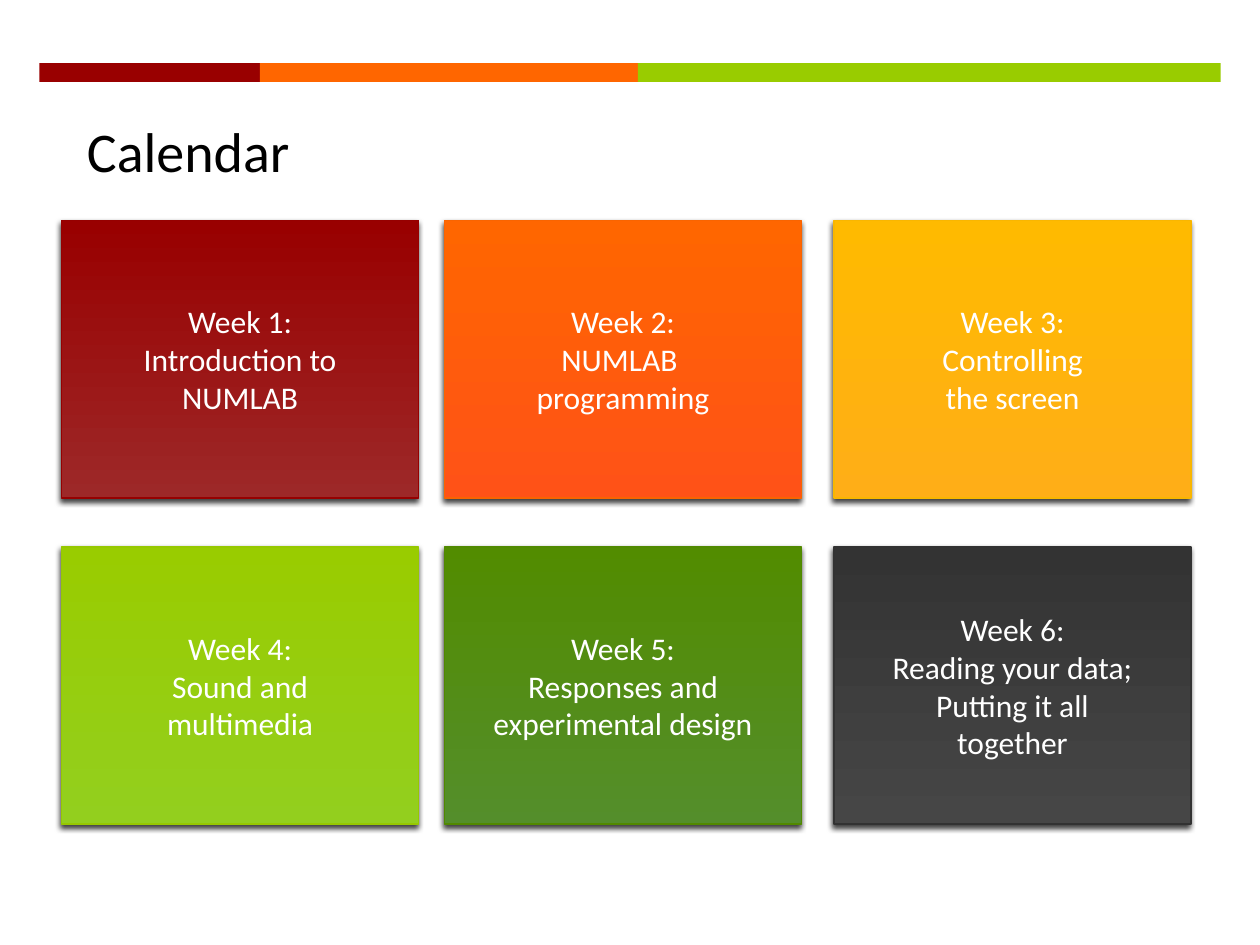
from lxml import etree
from pptx import Presentation
from pptx.dml.color import RGBColor
from pptx.enum.shapes import MSO_SHAPE
from pptx.enum.text import MSO_ANCHOR, MSO_AUTO_SIZE, PP_ALIGN
from pptx.oxml import parse_xml
from pptx.util import Pt

RECTANGLE = MSO_SHAPE.RECTANGLE
MIDDLE = MSO_ANCHOR.MIDDLE
GROW = MSO_AUTO_SIZE.SHAPE_TO_FIT_TEXT
LEFT, CENTER = PP_ALIGN.LEFT, PP_ALIGN.CENTER
TITLE_ONLY = 5

FONT = "Calibri"
BLACK = RGBColor(0x00, 0x00, 0x00)
WHITE = RGBColor(0xFF, 0xFF, 0xFF)
DARK_RED = RGBColor(0x99, 0x00, 0x00)
ORANGE = RGBColor(0xFF, 0x66, 0x00)
AMBER = RGBColor(0xFF, 0xBA, 0x00)
LIME = RGBColor(0x99, 0xCC, 0x00)
GREEN = RGBColor(0x52, 0x8C, 0x00)
CHARCOAL = RGBColor(0x33, 0x33, 0x33)

BAND_LEFT, BAND_TOP, BAND_HEIGHT = 22.5, 36, 10.8
BAND_PARTS = [(126, DARK_RED), (216, ORANGE), (333, LIME)]

COLUMN_LEFTS = [35.2, 254, 476.6]
ROW_TOPS = [126, 312.5]
CARD_WIDTH, CARD_HEIGHT = 204, 158.5

# Lines of text, top colour, bottom colour, outline colour
WEEKS = [
    (["Week 1:", "Introduction to", "NUMLAB"],
     DARK_RED, RGBColor(0x9D, 0x28, 0x28), RGBColor(0x96, 0x00, 0x00)),
    (["Week 2:", "NUMLAB ", "programming"],
     ORANGE, RGBColor(0xFF, 0x52, 0x17), RGBColor(0xF9, 0x64, 0x00)),
    (["Week 3:", "Controlling", "the screen"],
     AMBER, RGBColor(0xFF, 0xAE, 0x17), RGBColor(0xF9, 0xB6, 0x00)),
    (["Week 4:", "Sound and", "multimedia"],
     LIME, RGBColor(0x93, 0xCF, 0x1E), RGBColor(0x96, 0xC8, 0x00)),
    (["Week 5:", "Responses and", "experimental design"],
     GREEN, RGBColor(0x54, 0x8E, 0x2B), RGBColor(0x51, 0x89, 0x00)),
    (["Week 6:", "Reading your data;", "Putting it all", "together"],
     CHARCOAL, RGBColor(0x46, 0x46, 0x46), RGBColor(0x32, 0x32, 0x32)),
]

SHADOW_XML = (
    '<a:outerShdw xmlns:a="http://schemas.openxmlformats.org/drawingml/2006/main"'
    f' blurRad="{Pt(3)}" dist="{Pt(2)}" dir="{110 * 60000}" rotWithShape="0">'
    '<a:srgbClr val="000000"><a:alpha val="75000"/></a:srgbClr></a:outerShdw>'
)


def add_rectangle(page, left, top, width, height):
    box = page.shapes.add_shape(
        RECTANGLE, Pt(left), Pt(top), Pt(width), Pt(height))
    box.shadow.inherit = False
    return box


def format_paragraph(para, size, color, alignment):
    para.alignment = alignment
    para.font.name = FONT
    para.font.size = Pt(size)
    para.font.color.rgb = color


def add_band(page):
    left = BAND_LEFT
    for width, color in BAND_PARTS:
        box = add_rectangle(page, left, BAND_TOP, width, BAND_HEIGHT)
        box.fill.solid()
        box.fill.fore_color.rgb = color
        box.line.fill.background()
        left += width


def set_title(page, text):
    title = page.shapes.title
    title.left, title.top = Pt(42.5), Pt(63)
    title.width, title.height = Pt(165), Pt(46)
    frame = title.text_frame
    frame.text = text
    frame.word_wrap = False
    frame.auto_size = GROW
    frame.vertical_anchor = MIDDLE
    format_paragraph(frame.paragraphs[0], 32, BLACK, LEFT)


def fill_gradient(box, top_color, bottom_color):
    box.fill.gradient()
    box.fill.gradient_angle = 90
    for stop, position, color in zip(
            box.fill.gradient_stops, (0, 1), (bottom_color, top_color)):
        stop.position = position
        stop.color.rgb = color


def add_shadow(box):
    """Fill the empty effect list left by shadow.inherit = False."""
    effects = box.element.spPr.find(
        etree.QName("http://schemas.openxmlformats.org/drawingml/2006/main",
                    "effectLst").text)
    effects.append(parse_xml(SHADOW_XML))


def add_card(page, left, top, lines, top_color, bottom_color, outline):
    box = add_rectangle(page, left, top, CARD_WIDTH, CARD_HEIGHT)
    fill_gradient(box, top_color, bottom_color)
    box.line.color.rgb = outline
    box.line.width = Pt(1)
    add_shadow(box)
    frame = box.text_frame
    frame.word_wrap = True
    frame.vertical_anchor = MIDDLE
    frame.text = "\n".join(lines)
    for para in frame.paragraphs:
        format_paragraph(para, 18, WHITE, CENTER)


def main():
    deck = Presentation()
    deck.slide_width, deck.slide_height = Pt(720), Pt(540)
    page = deck.slides.add_slide(deck.slide_layouts[TITLE_ONLY])
    add_band(page)
    set_title(page, "Calendar")
    for index, week in enumerate(WEEKS):
        row, column = divmod(index, len(COLUMN_LEFTS))
        add_card(page, COLUMN_LEFTS[column], ROW_TOPS[row], *week)
    deck.save("out.pptx")


if __name__ == "__main__":
    main()
